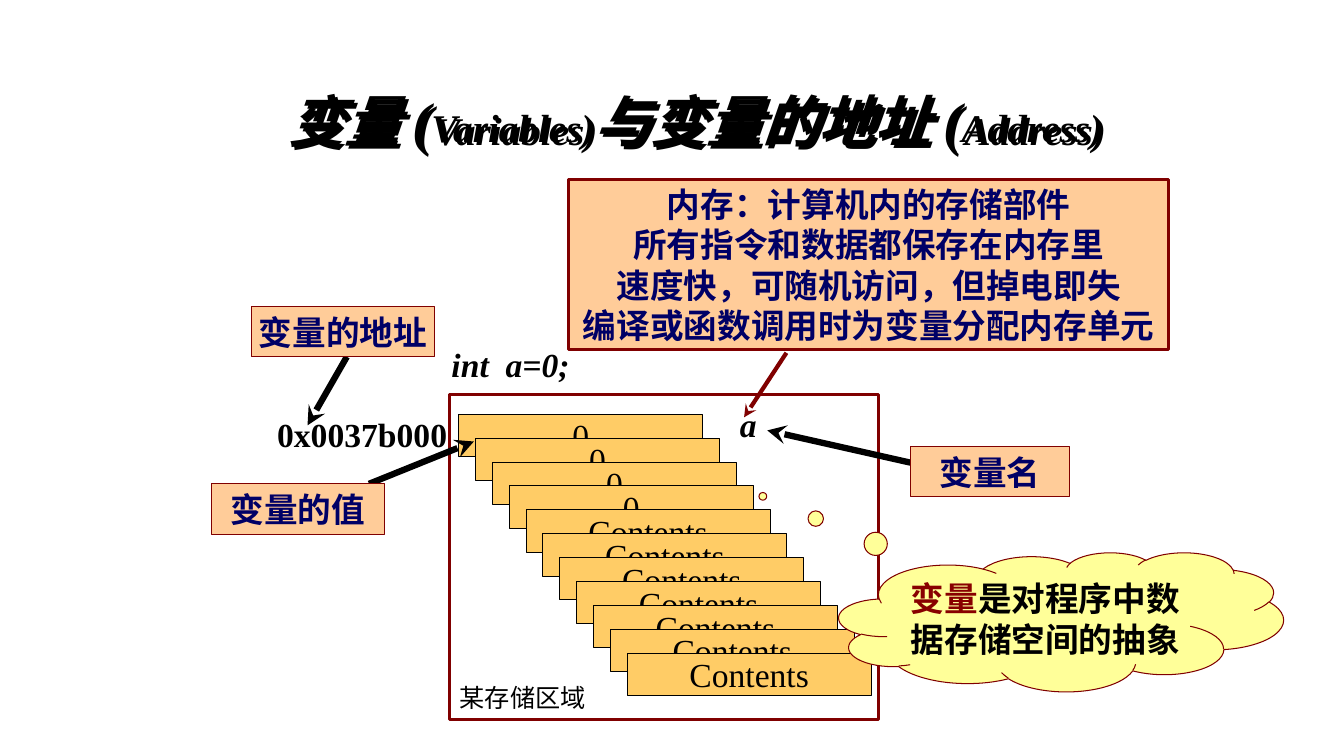
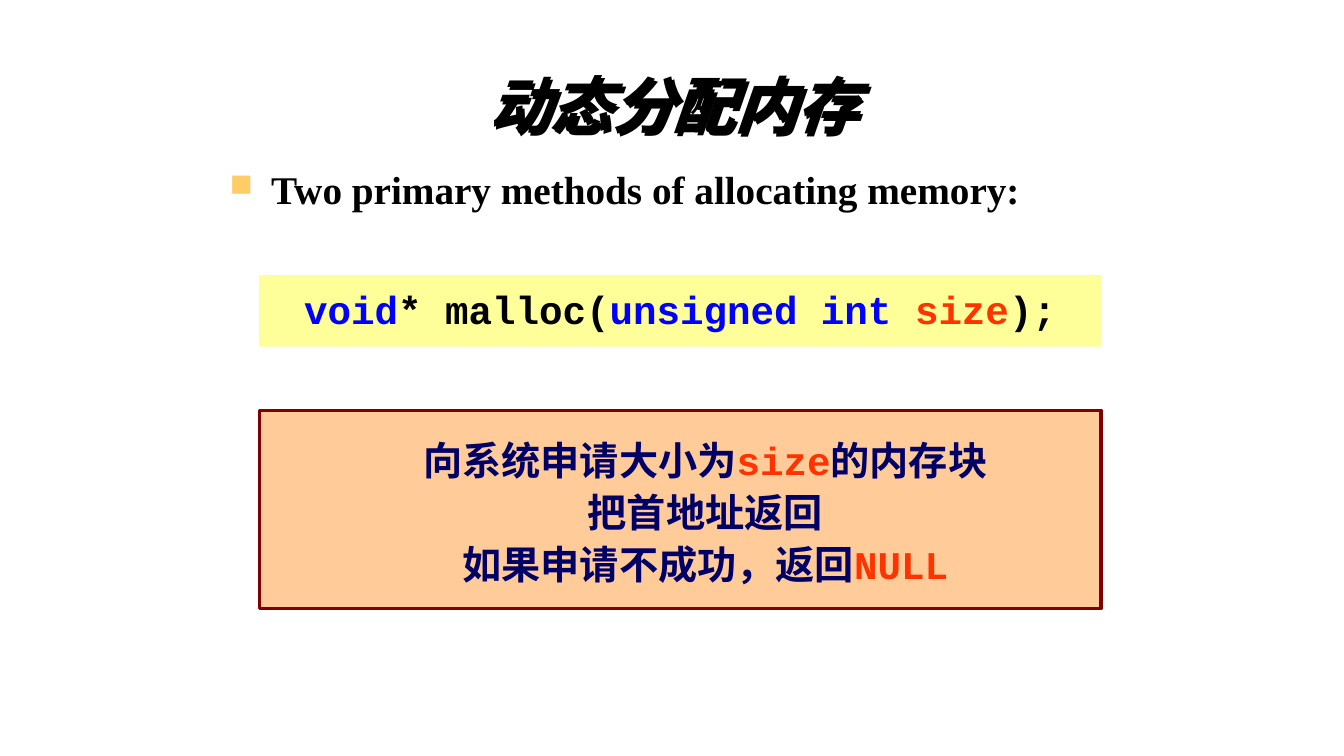
import pptx
import pptx.util
import pptx.dml.color
import pptx.enum.shapes
import pptx.enum.text
import pptx.oxml
import pptx.oxml.ns
from dataclasses import dataclass
from lxml import etree

Inches = pptx.util.Inches
Shape = pptx.enum.shapes.MSO_SHAPE
Align = pptx.enum.text.PP_ALIGN
Anchor = pptx.enum.text.MSO_ANCHOR
qn = pptx.oxml.ns.qn


@dataclass(frozen=True)
class Theme:
    serif: str = "Times New Roman"
    mono: str = "Courier New"
    black: str = "000000"
    navy: str = "000066"
    blue: str = "0000FF"
    red: str = "FF3300"
    wine: str = "800000"
    ruby: str = "880000"
    peach: str = "FFCC99"
    gold: str = "FFCC66"
    lemon: str = "FFFF99"
    head: int = 44
    sub: int = 40
    large: int = 28
    text: int = 24
    small: int = 18
    thin: float = 0.75
    edge: float = 2.25
    mid: float = 3
    thick: float = 4.5


T = Theme()

TITLES = [
    ((2.26, 0.6, 9.14, 1.25), [
        " ", ("变量 (", {"size": T.sub}), ("Variables)", {"size": T.large}),
        ("与变量的地址 (", {"size": T.sub}), ("Address)", {"size": T.large})]),
    ((0.99, 0.63, 11.37, 0.92), ["动态分配内存"]),
]
TAGS = [
    ("变量的地址", (2.49, 3.04, 1.82, 0.5)),
    ("变量名", (9.03, 4.43, 1.58, 0.5)),
    ("变量的值", (2.1, 4.8, 1.71, 0.5)),
]
MEMORY = [
    ["内存：计算机内的存储部件"],
    ["所有指令和数据都保存在内存里"],
    ["速度快，可随机访问，但掉电即失"],
    ["编译或函数调用时为变量分配内存单元"],
]
CELLS = ["0"] * 4 + ["Contents"] * 7
FIRST, LAST = (4.55, 4.11), (6.22, 6.48)
LABELS = [
    ("int  a=0;", (4.38, 3.36, 1.37, 0.5), {"bold": True, "italic": True}),
    ("0x0037b000", (2.65, 4.06, 1.89, 0.5), {"bold": True}),
    ("a", (7.24, 3.96, 0.37, 0.5), {"bold": True, "italic": True}),
    ("某存储区域", (4.46, 6.72, 1.45, 0.4), {"size": T.small}),
]
ARROWS = [
    ((3.44, 3.54), (3.05, 4.22), T.black, T.thick),
    ((9.03, 4.59), (7.61, 4.27), T.black, T.thick),
    ((7.8, 3.5), (7.38, 4.14), T.wine, T.mid),
    ((3.66, 4.8), (4.7, 4.38), T.black, T.thick),
]
CLOUD = [[("变量", {"color": T.ruby}), "是对程序中数据存储空间的抽象"]]
POINT = "Two primary methods of allocating memory:"
CODE = [[("void", {"color": T.blue}), "* malloc(",
         ("unsigned int ", {"color": T.blue}),
         ("size", {"color": T.red}), ");"]]
NOTES = [
    ["向系统申请大小为", ("size", {"color": T.red}), "的内存块"],
    ["把首地址返回"],
    ["如果申请不成功，返回", ("NULL", {"color": T.red})],
]


def rgb(color):
    return pptx.dml.color.RGBColor.from_string(color)


def box(at):
    return [Inches(n) for n in at]


def write(shape, paras, size=T.text, face=T.serif, color=T.black, bold=False,
          italic=False, align=Align.CENTER, anchor=Anchor.MIDDLE, wrap=False,
          space=None, left=None):
    frame = shape.text_frame
    frame.word_wrap = wrap
    frame.auto_size = pptx.enum.text.MSO_AUTO_SIZE.NONE
    frame.vertical_anchor = anchor
    base = {"size": size, "face": face, "color": color}
    for i, parts in enumerate(paras):
        para = frame.add_paragraph() if i else frame.paragraphs[0]
        para.alignment = align
        if space:
            para.line_spacing = space
        if left:
            props = para._p.get_or_add_pPr()
            props.set("marL", str(Inches(left)))
            props.set("indent", "0")
        for part in parts:
            words, extra = (part, {}) if isinstance(part, str) else part
            look = {**base, **extra}
            run = para.add_run()
            run.text = words
            run.font.size = pptx.util.Pt(look["size"])
            run.font.name = look["face"]
            run.font.color.rgb = rgb(look["color"])
            run.font.bold = bold
            run.font.italic = italic


def draw(slide, at, fill=None, line=None, width=T.thin, kind=Shape.RECTANGLE):
    shape = slide.shapes.add_shape(kind, *box(at))
    shape.shadow.inherit = False
    if fill:
        shape.fill.solid()
        shape.fill.fore_color.rgb = rgb(fill)
    else:
        shape.fill.background()
    if line:
        shape.line.color.rgb = rgb(line)
        shape.line.width = pptx.util.Pt(width)
    else:
        shape.line.fill.background()
    return shape


def label(slide, at, words, **form):
    area = slide.shapes.add_textbox(*box(at))
    write(area, [[words]], align=Align.LEFT, anchor=Anchor.TOP, **form)
    return area


def arrow(slide, start, end, color, width):
    link = slide.shapes.add_connector(
        pptx.enum.shapes.MSO_CONNECTOR.STRAIGHT, *box(start + end))
    link.line.color.rgb = rgb(color)
    link.line.width = pptx.util.Pt(width)
    etree.SubElement(link.line._get_or_add_ln(), qn("a:tailEnd"), type="stealth")
    etree.SubElement(link._element.spPr, qn("a:effectLst"))


def begin(deck, at, parts):
    slide = deck.slides.add_slide(deck.slide_layouts[5])
    title = slide.shapes.title
    title.left, title.top, title.width, title.height = box(at)
    write(title, [parts], size=T.head, bold=True, italic=True, wrap=True,
          space=0.85)
    glow = etree.SubElement(title._element.spPr, qn("a:effectLst"))
    cast = etree.SubElement(glow, qn("a:outerShdw"), dist=str(Inches(0.04)),
                            dir="2700000", algn="ctr", rotWithShape="0")
    etree.SubElement(cast, qn("a:srgbClr"), val=T.black)
    return slide


def bullet(para, mark, color, scale, hang):
    props = para._p.get_or_add_pPr()
    props.set("marL", str(Inches(hang)))
    props.set("indent", str(-Inches(hang)))
    tint = etree.SubElement(props, qn("a:buClr"))
    etree.SubElement(tint, qn("a:srgbClr"), val=color)
    etree.SubElement(props, qn("a:buSzPct"), val=str(scale * 1000))
    etree.SubElement(props, qn("a:buChar"), char=mark)


def address(deck):
    slide = begin(deck, *TITLES[0])
    draw(slide, (4.46, 3.91, 4.25, 3.23), line=T.wine, width=T.edge)
    memory = draw(slide, (5.64, 1.78, 5.95, 1.69), T.peach, T.wine, T.edge)
    write(memory, MEMORY, color=T.navy, bold=True)
    steps = [(b - a) / (len(CELLS) - 1) for a, b in zip(FIRST, LAST)]
    for i, words in enumerate(CELLS):
        left, top = (a + i * step for a, step in zip(FIRST, steps))
        cell = draw(slide, (left, top, 2.42, 0.42), T.gold, T.black)
        write(cell, [[words]])
    for ends in ARROWS:
        arrow(slide, *ends)
    for words, at in TAGS:
        tag = draw(slide, at, T.peach, T.wine)
        write(tag, [[words]], color=T.navy, bold=True)
    for words, at, form in LABELS:
        label(slide, at, words, **form)
    cloud = draw(slide, (8.32, 5.48, 4.41, 1.38), T.lemon, T.wine,
                 kind=Shape.CLOUD_CALLOUT)
    cloud.adjustments[0] = -0.671
    cloud.adjustments[1] = -0.903
    write(cloud, CLOUD, bold=True, wrap=True, anchor=Anchor.TOP)


def malloc(deck):
    slide = begin(deck, *TITLES[1])
    point = label(slide, (2.18, 1.62, 8.98, 0.79), POINT, size=T.large,
                  bold=True, wrap=True, space=0.95)
    bullet(point.text_frame.paragraphs[0], "■", T.gold, 80, 0.41)
    code = draw(slide, (2.57, 2.73, 8.35, 0.71), T.lemon)
    write(code, CODE, size=T.large, face=T.mono, bold=True, space=0.95)
    notes = draw(slide, (2.57, 4.07, 8.35, 1.97), T.peach, T.wine, T.edge)
    write(notes, NOTES, size=T.large, face=T.mono, color=T.navy, bold=True,
          space=1.1, left=0.5)


def main():
    deck = pptx.Presentation()
    deck.slide_width, deck.slide_height = box((13.33, 7.5))
    address(deck)
    malloc(deck)
    deck.save("out.pptx")


if __name__ == "__main__":
    main()
